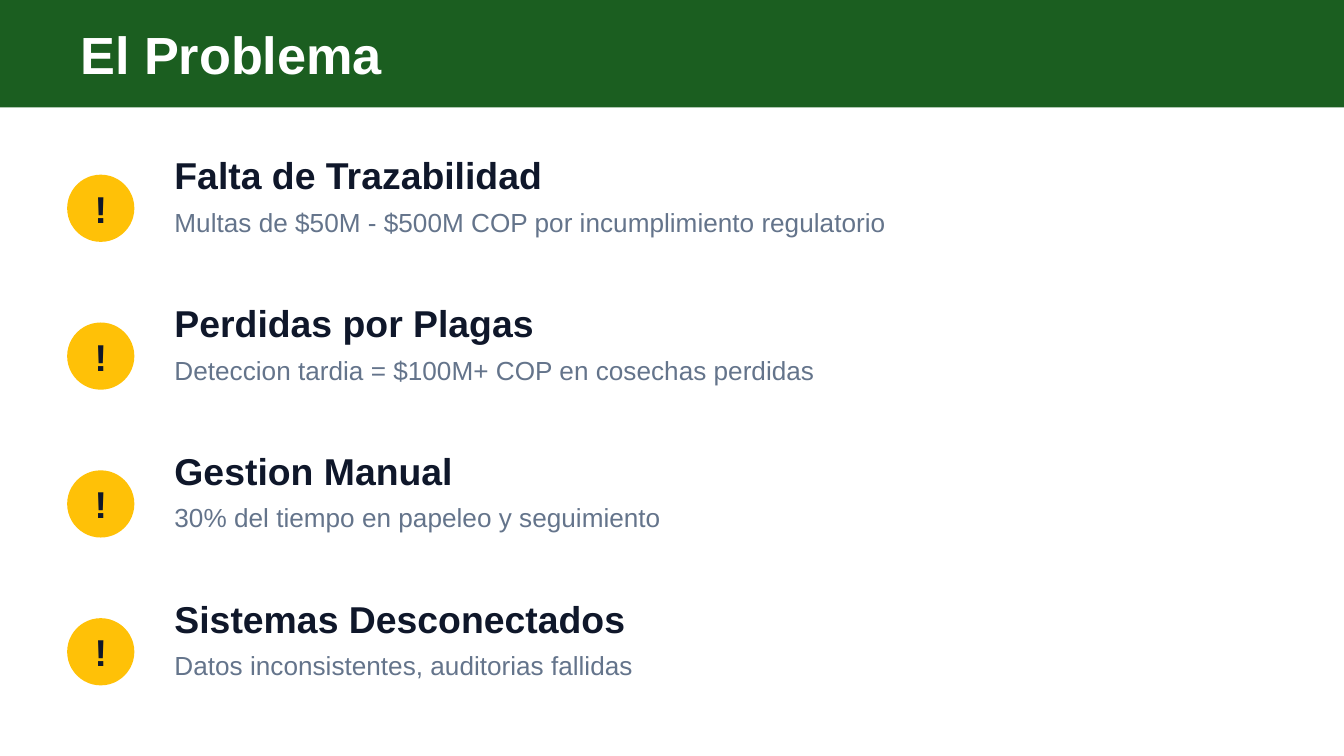
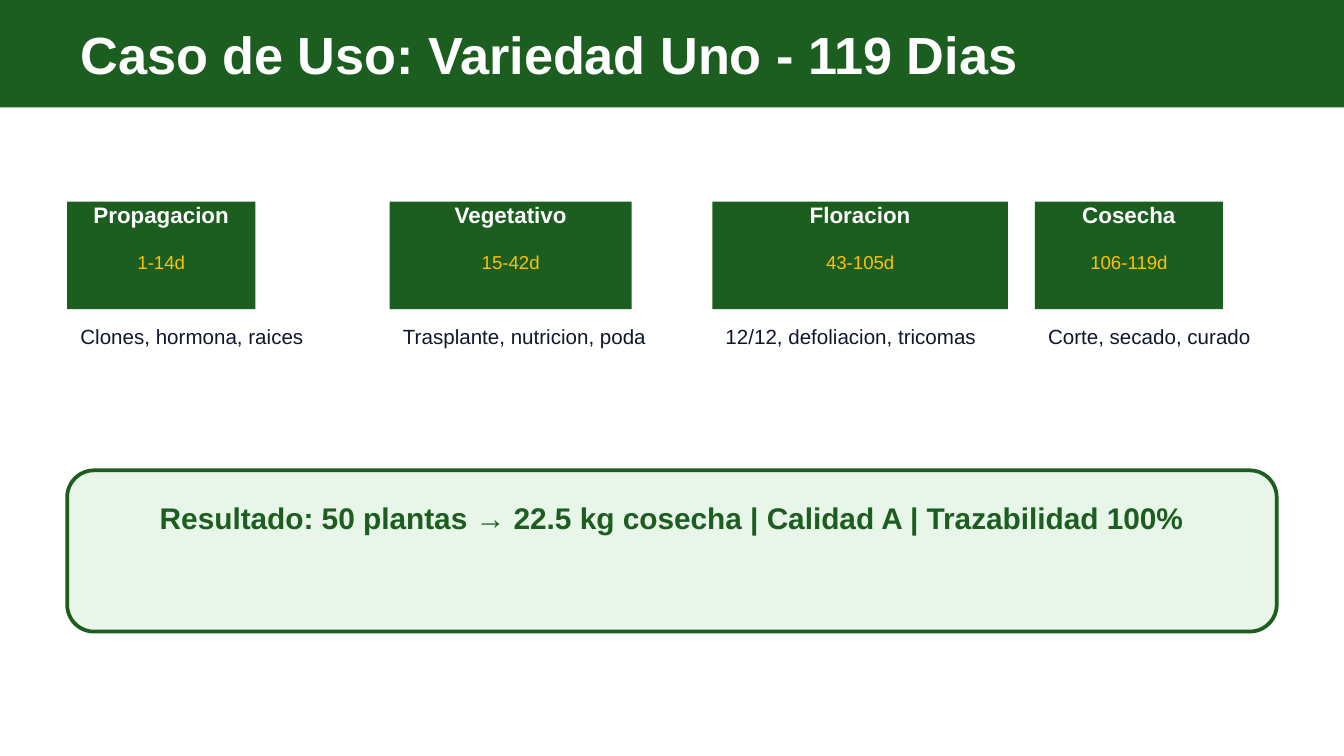
from pptx import Presentation
from pptx.dml.color import RGBColor
from pptx.enum.shapes import MSO_SHAPE
from pptx.enum.text import MSO_ANCHOR, PP_ALIGN
from pptx.util import Pt

RECTANGLE = MSO_SHAPE.RECTANGLE
ROUNDED = MSO_SHAPE.ROUNDED_RECTANGLE
OVAL = MSO_SHAPE.OVAL
MIDDLE = MSO_ANCHOR.MIDDLE
LEFT = PP_ALIGN.LEFT
CENTER = PP_ALIGN.CENTER

COLORS = {
    "green": "1B5E20",
    "mint": "E8F5E9",
    "amber": "FFC107",
    "ink": "0F172A",
    "slate": "64748B",
    "white": "FFFFFF",
}
FONT = "Arial"
PAGE_WIDTH, PAGE_HEIGHT = 720, 405
MARGIN = 36
CONTENT_WIDTH = PAGE_WIDTH - 2 * MARGIN

PROBLEMS = [
    ("Falta de Trazabilidad", "Multas de $50M - $500M COP por incumplimiento regulatorio"),
    ("Perdidas por Plagas", "Deteccion tardia = $100M+ COP en cosechas perdidas"),
    ("Gestion Manual", "30% del tiempo en papeleo y seguimiento"),
    ("Sistemas Desconectados", "Datos inconsistentes, auditorias fallidas"),
]
STAGES = [
    ("Propagacion", "1-14d", "Clones, hormona, raices", 100.8),
    ("Vegetativo", "15-42d", "Trasplante, nutricion, poda", 129.6),
    ("Floracion", "43-105d", "12/12, defoliacion, tricomas", 158.4),
    ("Cosecha", "106-119d", "Corte, secado, curado", 100.8),
]


class SlideBuilder:
    def __init__(self, deck):
        self.deck = deck
        self.page = None

    def start(self, title):
        self.page = self.deck.slides.add_slide(self.deck.slide_layouts[6])
        self.shape(RECTANGLE, 0, 0, PAGE_WIDTH, 57.6, "green")
        self.text(title, MARGIN, 10.8, CONTENT_WIDTH, 36, size=28, color="white", bold=True)

    def shape(self, kind, left, top, width, height, fill, line=None):
        shape = self.page.shapes.add_shape(kind, Pt(left), Pt(top), Pt(width), Pt(height))
        shape.shadow.inherit = False
        shape.fill.solid()
        shape.fill.fore_color.rgb = RGBColor.from_string(COLORS[fill])
        if line:
            shape.line.color.rgb = RGBColor.from_string(COLORS[line])
            shape.line.width = Pt(2)
        else:
            shape.line.fill.background()

    def text(self, wording, left, top, width, height=0, *, size, color, bold=False, align=LEFT):
        box = self.page.shapes.add_textbox(Pt(left), Pt(top), Pt(width), Pt(height))
        frame = box.text_frame
        frame.word_wrap = True
        frame.vertical_anchor = MIDDLE
        para = frame.paragraphs[0]
        para.alignment = align
        span = para.add_run()
        span.text = wording
        for name, value in {"name": FONT, "size": Pt(size), "bold": bold}.items():
            setattr(span.font, name, value)
        span.font.color.rgb = RGBColor.from_string(COLORS[color])


def build_problem(builder):
    builder.start("El Problema")
    for index, (heading, detail) in enumerate(PROBLEMS):
        top = 93.6 + index * 79.2
        builder.shape(OVAL, MARGIN, top, 36, 36, "amber")
        builder.text("!", MARGIN, top + 3.6, 36, 28.8, size=20, color="ink", bold=True, align=CENTER)
        builder.text(heading, 86.4, top, 576, size=20, color="ink", bold=True)
        builder.text(detail, 86.4, top + 25.2, 576, size=14, color="slate")


def build_use_case(builder):
    builder.start("Caso de Uso: Variedad Uno - 119 Dias")
    for index, (stage, days, tasks, width) in enumerate(STAGES):
        left = MARGIN + index * 172.8
        builder.shape(RECTANGLE, left, 108, width, 57.6, "green")
        builder.text(stage, left, 115.2, width, size=12, color="white", bold=True, align=CENTER)
        builder.text(days, left, 140.4, width, size=10, color="amber", align=CENTER)
        builder.text(tasks, left, 180, 165.6, size=11, color="ink")
    builder.shape(ROUNDED, MARGIN, 252, CONTENT_WIDTH, 86.4, "mint", line="green")
    builder.text("Resultado: 50 plantas → 22.5 kg cosecha | Calidad A | Trazabilidad 100%",
                 MARGIN, 277.2, CONTENT_WIDTH, size=16, color="green", bold=True, align=CENTER)


def main():
    deck = Presentation()
    deck.slide_width = Pt(PAGE_WIDTH)
    deck.slide_height = Pt(PAGE_HEIGHT)
    builder = SlideBuilder(deck)
    build_problem(builder)
    build_use_case(builder)
    deck.save("out.pptx")


if __name__ == "__main__":
    main()
